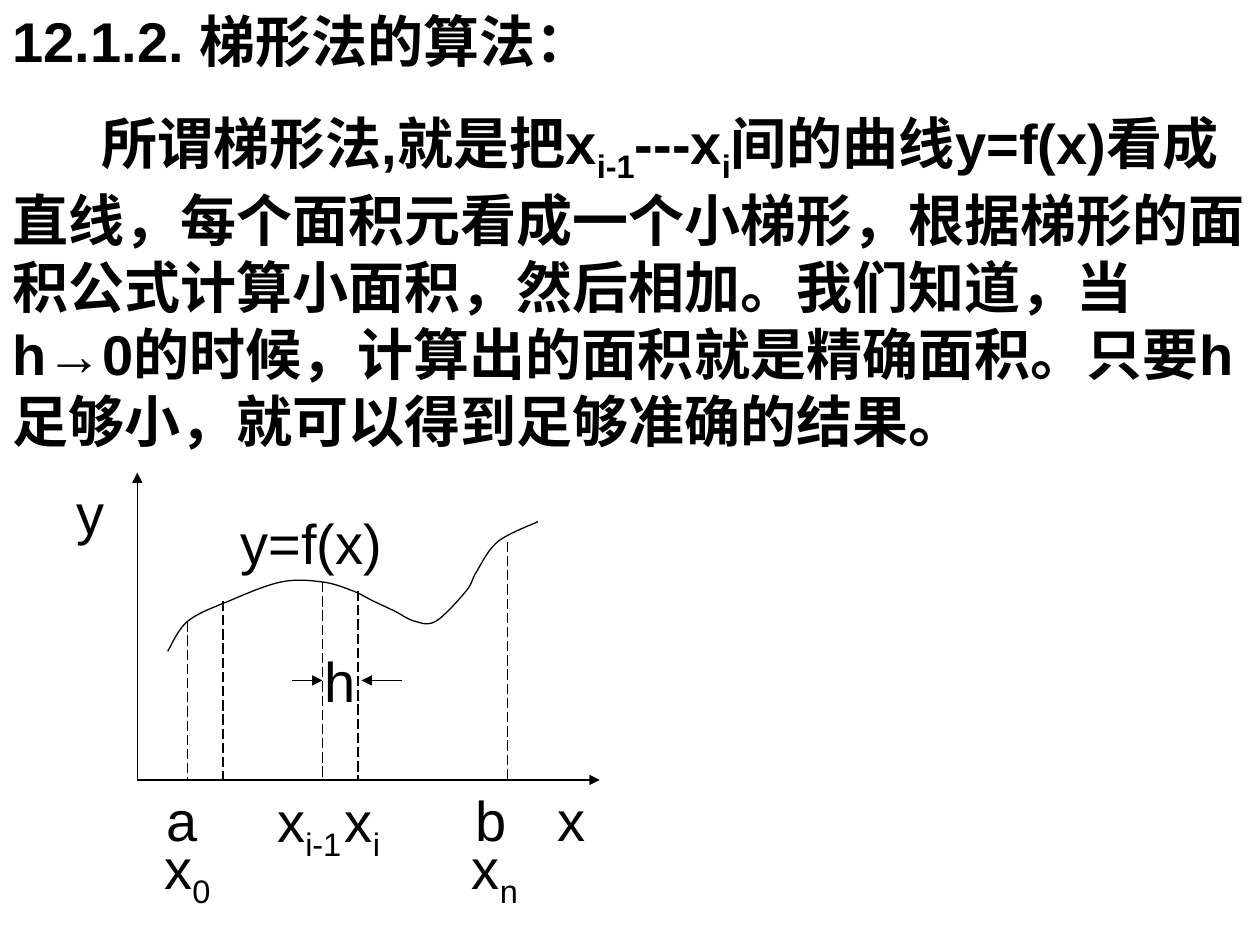
from dataclasses import dataclass
from typing import NamedTuple

import pptx
import pptx.dml.color
import pptx.enum.dml
import pptx.enum.shapes
import pptx.enum.text
import pptx.oxml
import pptx.oxml.ns
import pptx.util

Pt = pptx.util.Pt


@dataclass(frozen=True)
class Theme:
    font: str = "Arial"
    size: float = 32
    line_width: float = 0.75
    ink: pptx.dml.color.RGBColor = pptx.dml.color.RGBColor(0, 0, 0)


class Piece(NamedTuple):
    text: str
    subscript: bool = False


class Label(NamedTuple):
    text: str
    left: float
    top: float
    width: float
    subscript: str = ""


class Segment(NamedTuple):
    start: tuple[float, float]
    end: tuple[float, float]
    dashed: bool = False


THEME = Theme()
AXIS_X, AXIS_Y = 78.5, 445.7
H_ARROW_Y = 388.8

TITLE = "12.1.2. 梯形法的算法："
BODY = [
    Piece("所谓梯形法,就是把x"),
    Piece("i-1", True),
    Piece("---x"),
    Piece("i", True),
    Piece(
        "间的曲线y=f(x)看成直线，每个面积元看成一个小梯形，根据梯形的面积公式计算小面积，"
        "然后相加。我们知道，当h→0的时候，计算出的面积就是精确面积。"
        "只要h足够小，就可以得到足够准确的结果。"
    ),
]
ARROWS = [
    Segment((AXIS_X, AXIS_Y), (342.7, AXIS_Y)),
    Segment((AXIS_X, AXIS_Y), (AXIS_X, 270)),
    Segment((167, H_ARROW_Y), (184.3, H_ARROW_Y)),
    Segment((229.7, H_ARROW_Y), (206.6, H_ARROW_Y)),
]
ORDINATES = [
    Segment((x, y), (x, AXIS_Y), dashed=True)
    for x, y in [(107.3, 355), (127.4, 343.4), (184.3, 332.6), (204.5, 337.7), (290.2, 309.6)]
]
LABELS = [
    Label("a", 88, 445.3, 33),
    Label("b", 264.5, 445.3, 33),
    Label("x", 311.6, 445.3, 31),
    Label("y", 36.7, 270, 31),
    Label("y=f(x)", 130.5, 287.3, 97),
    Label("x", 86.8, 473, 43, "0"),
    Label("x", 262.5, 473, 43, "n"),
    Label("x", 151.4, 445.7, 53, "i-1"),
    Label("x", 190, 445.7, 36, "i"),
    Label("h", 178.6, 365.8, 33),
]
CURVE_KNOTS = [
    (95.8, 372.2), (107.3, 355), (131, 343.4), (160.6, 332.6), (184.3, 332.6),
    (201.6, 337.7), (213.1, 343.4), (225.4, 349.2), (236.9, 355), (249.1, 355),
    (266.4, 337.7), (272.2, 326.9), (284.4, 309.6), (307.4, 298.1),
]


def format_run(run, bold: bool = False, subscript: bool = False) -> None:
    run.font.name = THEME.font
    run.font.size = Pt(THEME.size)
    run.font.bold = bold
    run.font.color.rgb = THEME.ink
    if subscript:
        run.font._element.set("baseline", "-25000")


def write_pieces(paragraph, pieces: list[Piece], bold: bool = False) -> None:
    for piece in pieces:
        run = paragraph.add_run()
        run.text = piece.text
        format_run(run, bold, piece.subscript)


def format_line(line) -> None:
    line.width = Pt(THEME.line_width)
    line.color.rgb = THEME.ink


def draw_title(slide) -> None:
    title = slide.shapes.title
    title.left, title.top, title.width, title.height = Pt(0), Pt(0), Pt(720), Pt(46)
    text_frame = title.text_frame
    text_frame.text = TITLE
    text_frame.vertical_anchor = pptx.enum.text.MSO_ANCHOR.TOP
    text_frame.auto_size = pptx.enum.text.MSO_AUTO_SIZE.NONE
    paragraph = text_frame.paragraphs[0]
    paragraph.alignment = pptx.enum.text.PP_ALIGN.LEFT
    format_run(paragraph.runs[0], bold=True)


def draw_body(slide) -> None:
    shape = slide.shapes.add_textbox(Pt(0), Pt(58.5), Pt(720), Pt(205))
    shape.text_frame.word_wrap = True
    paragraph = shape.text_frame.paragraphs[0]
    properties = paragraph._p.get_or_add_pPr()
    properties.set("marL", "0")
    properties.set("indent", str(Pt(51)))
    write_pieces(paragraph, BODY, bold=True)


def draw_label(shapes, label: Label) -> None:
    height = 51 if label.subscript else 46
    shape = shapes.add_textbox(Pt(label.left), Pt(label.top), Pt(label.width), Pt(height))
    shape.text_frame.word_wrap = False
    shape.text_frame.auto_size = pptx.enum.text.MSO_AUTO_SIZE.SHAPE_TO_FIT_TEXT
    pieces = [Piece(label.text)]
    if label.subscript:
        pieces.append(Piece(label.subscript, True))
    write_pieces(shape.text_frame.paragraphs[0], pieces)


def draw_segment(shapes, segment: Segment) -> None:
    connector = shapes.add_connector(
        pptx.enum.shapes.MSO_CONNECTOR.STRAIGHT,
        *(Pt(value) for value in segment.start + segment.end),
    )
    format_line(connector.line)
    properties = connector._element.spPr
    if segment.dashed:
        connector.line.dash_style = pptx.enum.dml.MSO_LINE.LONG_DASH
    else:
        tail = pptx.oxml.parse_xml(
            f'<a:tailEnd {pptx.oxml.ns.nsdecls("a")} type="triangle"/>'
        )
        connector.line._get_or_add_ln().append(tail)
    properties.append(
        pptx.oxml.parse_xml(f'<a:effectLst {pptx.oxml.ns.nsdecls("a")}/>')
    )


def spline(p0: float, p1: float, p2: float, p3: float, t: float) -> float:
    return 0.5 * (
        2 * p1
        + (p2 - p0) * t
        + (2 * p0 - 5 * p1 + 4 * p2 - p3) * t**2
        + (3 * p1 - p0 - 3 * p2 + p3) * t**3
    )


def draw_curve(shapes, knots: list[tuple[float, float]], steps: int = 10) -> None:
    padded = [knots[0], *knots, knots[-1]]
    points = [
        tuple(Pt(spline(*values, step / steps)) for values in zip(*padded[i:i + 4]))
        for i in range(len(knots) - 1)
        for step in range(1, steps + 1)
    ]
    builder = shapes.build_freeform(*(Pt(value) for value in knots[0]))
    builder.add_line_segments(points, close=False)
    curve = builder.convert_to_shape()
    curve.shadow.inherit = False
    curve.fill.background()
    format_line(curve.line)


def main() -> None:
    presentation = pptx.Presentation()
    presentation.slide_width, presentation.slide_height = Pt(720), Pt(540)
    slide = presentation.slides.add_slide(presentation.slide_layouts[5])
    draw_title(slide)
    draw_body(slide)
    graph = slide.shapes.add_group_shape().shapes
    for segment in ARROWS + ORDINATES:
        draw_segment(graph, segment)
    draw_curve(graph, CURVE_KNOTS)
    for label in LABELS:
        draw_label(graph, label)
    presentation.save("out.pptx")


if __name__ == "__main__":
    main()
